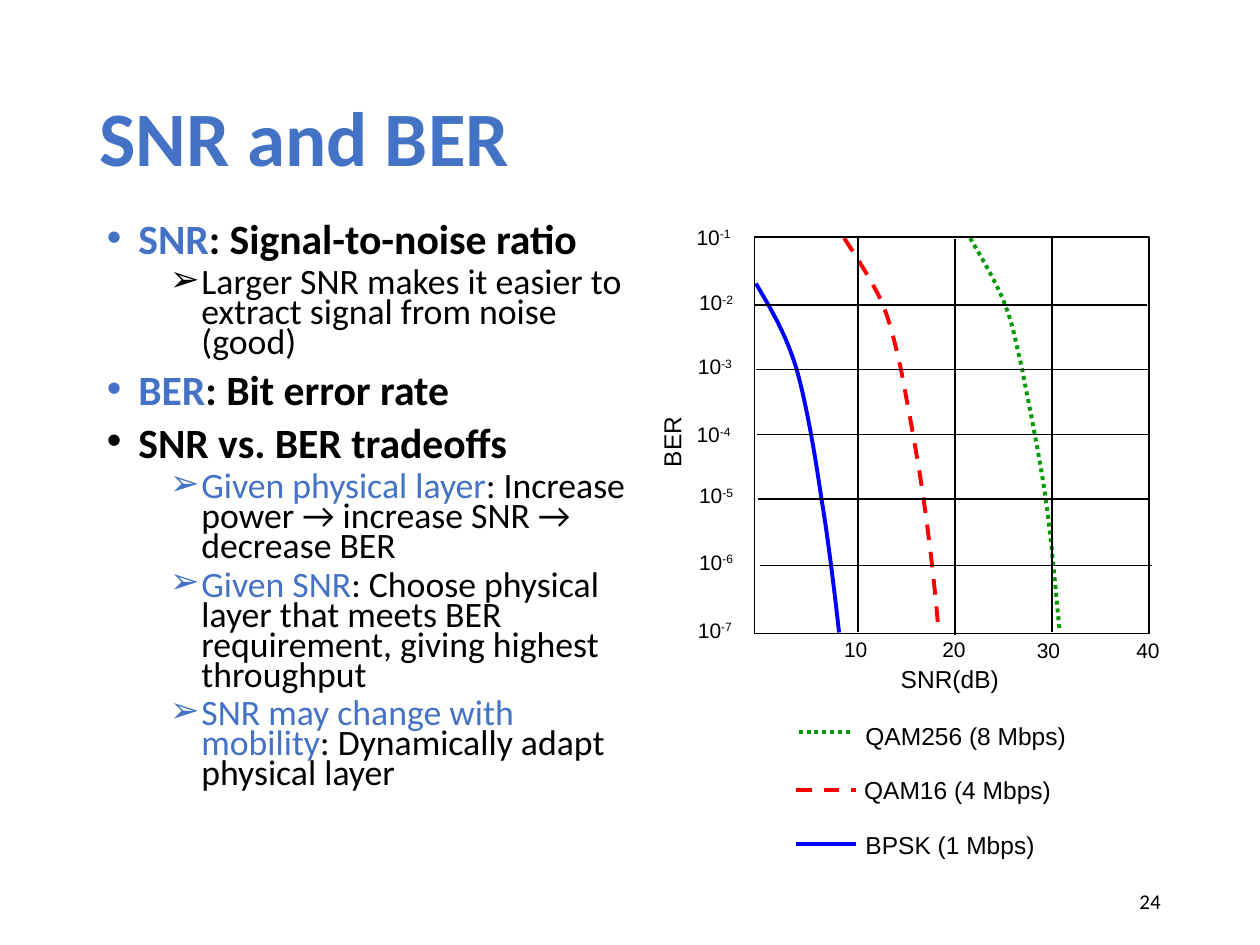
from dataclasses import dataclass

from lxml.etree import SubElement
from pptx import Presentation
from pptx.dml.color import RGBColor
from pptx.enum.dml import MSO_LINE
from pptx.enum.shapes import MSO_CONNECTOR, MSO_SHAPE
from pptx.enum.text import MSO_ANCHOR, PP_ALIGN
from pptx.oxml.ns import qn
from pptx.util import Inches, Pt


@dataclass(frozen=True)
class Theme:
    accent: str = "4472C4"
    ink: str = "000000"
    blue: str = "0000FF"
    red: str = "FF0000"
    green: str = "009900"
    text_font: str = "Calibri"
    chart_font: str = "Arial"
    title_size: float = 44
    topic_size: float = 23.8
    detail_size: float = 20.4
    label_size: float = 14
    tick_size: float = 12
    grid_width: float = 0.75
    curve_width: float = 2.25


THEME = Theme()

OUTLINE = [
    (0, "SNR", ": Signal-to-noise ratio"),
    (1, "", "Larger SNR makes it easier to extract signal from noise (good)"),
    (0, "BER", ": Bit error rate"),
    (0, "", "SNR vs. BER tradeoffs"),
    (1, "Given physical layer", ": Increase power → increase SNR → decrease BER"),
    (1, "Given SNR",
     ": Choose physical layer that meets BER requirement, giving highest throughput"),
    (1, "SNR may change with mobility", ": Dynamically adapt physical layer"),
]

CURVES = [
    (THEME.blue, None, [
        (6, 2.25), (6.11, 2.44), (6.23, 2.63), (6.32, 2.92), (6.4, 3.2),
        (6.47, 3.61), (6.52, 3.96), (6.58, 4.31), (6.64, 4.84), (6.66, 5.02)]),
    (THEME.red, MSO_LINE.DASH, [
        (6.7, 1.89), (6.81, 2.06), (6.92, 2.23), (7, 2.4), (7.07, 2.58),
        (7.09, 2.67), (7.15, 2.93), (7.2, 3.19), (7.28, 3.61), (7.33, 3.96),
        (7.38, 4.31), (7.42, 4.66), (7.45, 5.02)]),
    (THEME.green, MSO_LINE.ROUND_DOT, [
        (7.7, 1.89), (7.8, 2.06), (7.9, 2.23), (7.97, 2.4), (8.04, 2.58),
        (8.05, 2.66), (8.11, 2.92), (8.16, 3.18), (8.25, 3.61), (8.3, 3.96),
        (8.35, 4.31), (8.39, 4.83), (8.41, 5)]),
]

LEGEND = [
    ("QAM256 (8 Mbps)", THEME.green, MSO_LINE.ROUND_DOT, 6.34, 6.77, 5.81, 6.77, 5.67, 1.84),
    ("QAM16 (4 Mbps)", THEME.red, MSO_LINE.DASH, 6.32, 6.79, 6.27, 6.76, 6.1, 1.73),
    ("BPSK (1 Mbps)", THEME.blue, None, 6.32, 6.79, 6.7, 6.77, 6.54, 1.61),
]

BER_TICKS = [(5.43, 1.73), (5.45, 2.25), (5.44, 2.76), (5.43, 3.3),
             (5.45, 3.78), (5.45, 4.31), (5.44, 4.85)]
SNR_TICKS = [(6.6, 5), (7.38, 5), (8.13, 5.01), (8.92, 5.01)]


def add_text(paragraph, text, size, font=THEME.text_font, color=THEME.ink,
             bold=False, superscript=False):
    run = paragraph.add_run()
    run.text = text
    run.font.size = Pt(size)
    run.font.name = font
    run.font.bold = bold
    run.font.color.rgb = RGBColor.from_string(color)
    if superscript:
        run.font._element.set("baseline", "30000")


def smooth_points(controls, steps=10):
    points = [controls[0]]
    for first in range(0, len(controls) - 1, 3):
        segment = controls[first:first + 4]
        for step in range(1, steps + 1):
            t = step / steps
            weights = ((1 - t) ** 3, 3 * t * (1 - t) ** 2, 3 * t ** 2 * (1 - t), t ** 3)
            points.append(tuple(
                sum(weight * point[axis] for weight, point in zip(weights, segment))
                for axis in (0, 1)))
    return points


class SlideBuilder:
    def __init__(self, slide, theme):
        self.slide = slide
        self.theme = theme

    def style_line(self, line, color, width, dash=None):
        line.color.rgb = RGBColor.from_string(color)
        line.width = Pt(width)
        if dash is not None:
            line.dash_style = dash

    def text_frame(self, left, top, width, height, wrap=True,
                   anchor=MSO_ANCHOR.TOP, rotation=0):
        box = self.slide.shapes.add_textbox(
            Inches(left), Inches(top), Inches(width), Inches(height))
        box.rotation = rotation
        box.text_frame.word_wrap = wrap
        box.text_frame.vertical_anchor = anchor
        return box.text_frame

    def label(self, text, left, top, width, height=0.34, size=None,
              exponent="", rotation=0):
        frame = self.text_frame(left, top, width, height, wrap=False, rotation=rotation)
        size = size or self.theme.label_size
        font = self.theme.chart_font
        add_text(frame.paragraphs[0], text, size, font=font)
        if exponent:
            add_text(frame.paragraphs[0], exponent, size, font=font, superscript=True)

    def line(self, x1, y1, x2, y2, color, width, dash=None):
        connector = self.slide.shapes.add_connector(
            MSO_CONNECTOR.STRAIGHT, Inches(x1), Inches(y1), Inches(x2), Inches(y2))
        self.style_line(connector.line, color, width, dash)
        SubElement(connector._element.spPr, qn("a:effectLst"))

    def grid_line(self, x1, y1, x2, y2):
        self.line(x1, y1, x2, y2, self.theme.ink, self.theme.grid_width)

    def frame(self, left, top, width, height):
        shape = self.slide.shapes.add_shape(
            MSO_SHAPE.RECTANGLE, Inches(left), Inches(top), Inches(width), Inches(height))
        shape.shadow.inherit = False
        shape.fill.background()
        self.style_line(shape.line, self.theme.ink, self.theme.grid_width)

    def curve(self, controls, color, dash):
        start, *rest = [(Inches(x), Inches(y)) for x, y in smooth_points(controls)]
        builder = self.slide.shapes.build_freeform(*start)
        builder.add_line_segments(rest, close=False)
        shape = builder.convert_to_shape()
        shape.shadow.inherit = False
        shape.fill.background()
        self.style_line(shape.line, color, self.theme.curve_width, dash)

    def outline(self, items, left, top, width, height):
        frame = self.text_frame(left, top, width, height)
        for index, (level, lead, rest) in enumerate(items):
            paragraph = frame.add_paragraph() if index else frame.paragraphs[0]
            paragraph.level = level
            paragraph.line_spacing = 0.7
            paragraph.space_before = Pt(5 if level else 10)
            properties = paragraph._p.get_or_add_pPr()
            properties.set("marL", str(Inches(0.75 if level else 0.25)))
            properties.set("indent", str(Inches(-0.25)))
            SubElement(properties, qn("a:buFont"), typeface=self.theme.chart_font)
            SubElement(properties, qn("a:buChar"), char="➢" if level else "•")
            size = self.theme.detail_size if level else self.theme.topic_size
            for text, color in ((lead, self.theme.accent), (rest, self.theme.ink)):
                if text:
                    add_text(paragraph, text, size, color=color, bold=level == 0)


def main():
    presentation = Presentation()
    presentation.slide_width = Inches(10)
    presentation.slide_height = Inches(7.5)
    slide = presentation.slides.add_slide(presentation.slide_layouts[6])
    builder = SlideBuilder(slide, THEME)

    title = builder.text_frame(0.69, 0.4, 8.62, 1.45, anchor=MSO_ANCHOR.MIDDLE)
    title.paragraphs[0].line_spacing = 0.9
    add_text(title.paragraphs[0], "SNR and BER", THEME.title_size,
             color=THEME.accent, bold=True)
    builder.outline(OUTLINE, 0.75, 1.75, 4.35, 4.83)

    for color, dash, controls in CURVES:
        builder.curve(controls, color, dash)
    builder.frame(5.99, 1.88, 3.13, 3.15)
    for row, y in enumerate((2.42, 2.93, 3.45, 3.96, 4.49)):
        x = 5.99 + 0.01 * row
        builder.grid_line(x, y, x + 3.11, y)
    for x, y in ((6.81, 1.88), (7.58, 1.9), (8.35, 1.88)):
        builder.grid_line(x, y, x, y + 3.14)

    for number, (left, top) in enumerate(SNR_TICKS, 1):
        builder.label(str(10 * number), left, top, 0.39, 0.3, THEME.tick_size)
    for number, (left, top) in enumerate(BER_TICKS, 1):
        builder.label("10", left, top, 0.48, 0.3, THEME.tick_size, exponent=f"-{number}")
    builder.label("SNR(dB)", 7.05, 5.22, 1.01)
    builder.label("BER", 5.03, 3.33, 0.61, rotation=270)

    for text, color, dash, x1, x2, y, left, top, width in LEGEND:
        builder.line(x1, y, x2, y, color, THEME.curve_width, dash)
        builder.label(text, left, top, width)

    number = builder.text_frame(7.06, 6.95, 2.25, 0.4, anchor=MSO_ANCHOR.MIDDLE)
    number.paragraphs[0].alignment = PP_ALIGN.RIGHT
    add_text(number.paragraphs[0], "24", THEME.tick_size)

    presentation.save("out.pptx")


if __name__ == "__main__":
    main()
